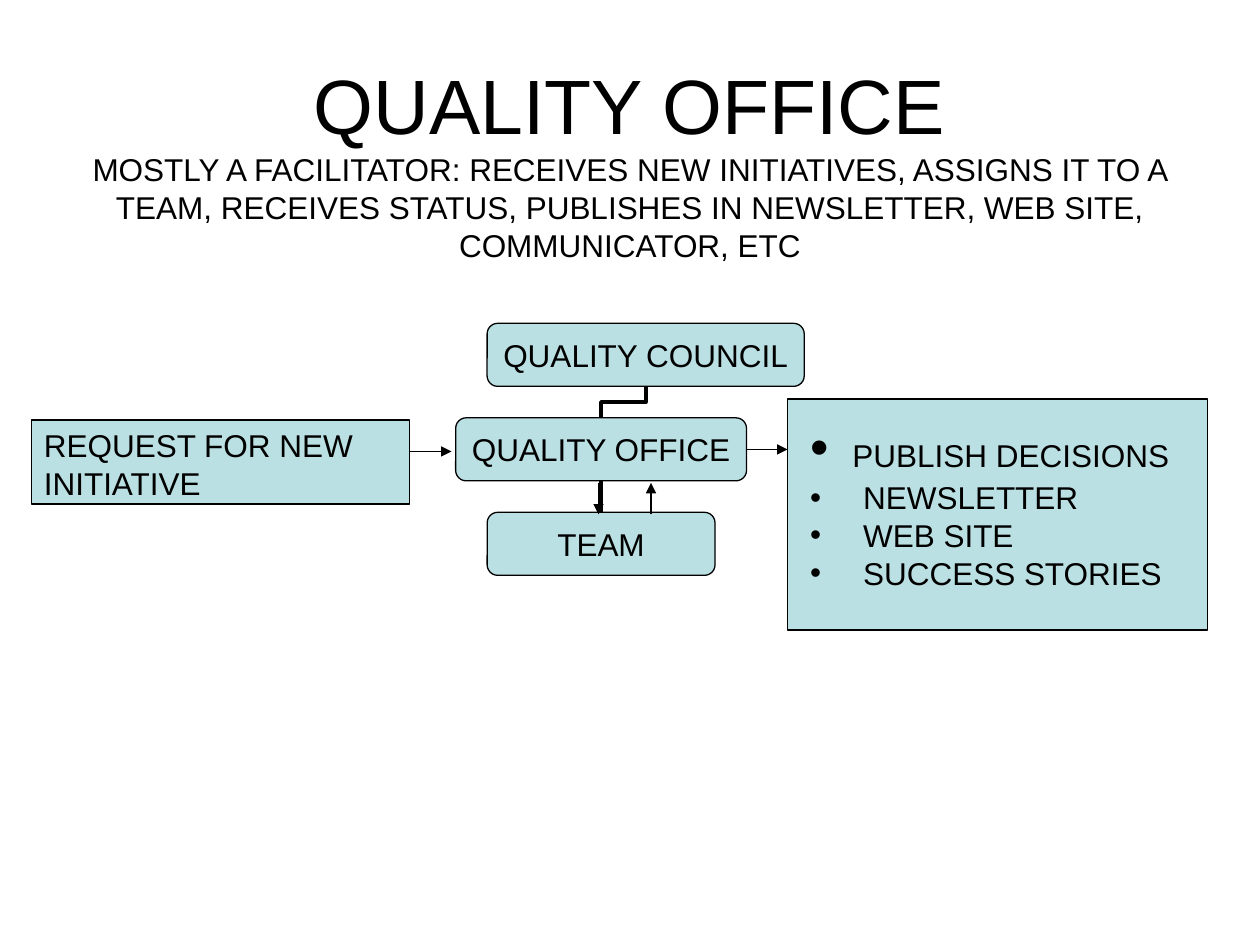
from typing import NamedTuple

from lxml.etree import SubElement
from pptx import Presentation
from pptx.dml.color import RGBColor
from pptx.enum.shapes import MSO_CONNECTOR, MSO_SHAPE
from pptx.enum.text import MSO_ANCHOR, PP_ALIGN
from pptx.oxml.ns import qn
from pptx.util import Emu, Inches, Pt

BLACK = RGBColor(0x00, 0x00, 0x00)
PALE_TEAL = RGBColor(0xBB, 0xE0, 0xE3)
FONT = "Arial"
BODY_SIZE = 18
LEVEL_TOP, LEVEL_STEP, LEVEL_HEIGHT = 30.8, 9, 6

presentation = Presentation()
presentation.slide_width, presentation.slide_height = Inches(10), Inches(7.5)
slide = presentation.slides.add_slide(presentation.slide_layouts[6])
CELL = presentation.slide_width / 120  # the slide is 120 columns by 90 rows


class Level(NamedTuple):
    text: str
    column: float
    columns: float


class Arrow(NamedTuple):
    start: tuple
    end: tuple


def cells(*counts: float) -> list:
    return [Emu(round(count * CELL)) for count in counts]


def style_run(run, size: float = BODY_SIZE) -> None:
    run.font.name = FONT
    run.font.size = Pt(size)
    run.font.color.rgb = BLACK


def add_box(kind, place: tuple, text: str, align=PP_ALIGN.LEFT, anchor=MSO_ANCHOR.TOP):
    box = slide.shapes.add_shape(kind, *cells(*place))
    box.shadow.inherit = False
    box.fill.solid()
    box.fill.fore_color.rgb = PALE_TEAL
    box.line.color.rgb = BLACK
    box.line.width = Pt(0.75)
    frame = box.text_frame
    frame.text = text
    frame.vertical_anchor = anchor
    for paragraph in frame.paragraphs:
        paragraph.alignment = align
        for run in paragraph.runs:
            style_run(run)
    return box


def add_line(kind, start: tuple, end: tuple, weight: float, arrowhead: bool = False):
    line = slide.shapes.add_connector(kind, *cells(*start, *end))
    line.line.color.rgb = BLACK
    line.line.width = Pt(weight)
    if arrowhead:
        SubElement(line.line._get_or_add_ln(), qn("a:tailEnd"), type="triangle")
    SubElement(line._element.spPr, qn("a:effectLst"))
    return line


def add_bullet(paragraph, margin: float) -> None:
    properties = paragraph._p.get_or_add_pPr()
    properties.set("marL", str(Inches(margin)))
    properties.set("indent", str(-Inches(margin)))
    color = SubElement(properties, qn("a:buClr"))
    SubElement(color, qn("a:srgbClr"), val=str(BLACK))
    SubElement(properties, qn("a:buFont"), typeface=FONT)
    SubElement(properties, qn("a:buChar"), char="•")


# Title with its description
heading = slide.shapes.add_textbox(*cells(6, 3.6, 108, 23.4)).text_frame
heading.word_wrap = True
heading.vertical_anchor = MSO_ANCHOR.MIDDLE
heading.text = (
    "QUALITY OFFICE\vMOSTLY A FACILITATOR: RECEIVES NEW INITIATIVES, ASSIGNS IT "
    "TO A TEAM, RECEIVES STATUS, PUBLISHES IN NEWSLETTER, WEB SITE, COMMUNICATOR, ETC"
)
heading.paragraphs[0].alignment = PP_ALIGN.CENTER
for run, size in zip(heading.paragraphs[0].runs, (44, BODY_SIZE)):
    style_run(run, size)

# Organisation chart: one box per level
levels = [
    Level("QUALITY COUNCIL", 46.4, 30.2),
    Level("QUALITY OFFICE", 43.4, 27.7),
    Level("TEAM", 46.4, 21.7),
]
council, office, team = [
    add_box(
        MSO_SHAPE.ROUNDED_RECTANGLE,
        (level.column, LEVEL_TOP + LEVEL_STEP * row, level.columns, LEVEL_HEIGHT),
        level.text, PP_ALIGN.CENTER, MSO_ANCHOR.MIDDLE,
    )
    for row, level in enumerate(levels)
]
for box in (council, office, team):
    box.text_frame.word_wrap = False

# Links between the levels
team_link = add_line(MSO_CONNECTOR.STRAIGHT, (0, 0), (1, 1), 2.25)
team_link.begin_connect(office, 2)
team_link.end_connect(team, 0)

council_link = add_line(MSO_CONNECTOR.ELBOW, (0, 0), (1, 1), 2.25)
council_link.begin_connect(office, 0)
council_link.end_connect(council, 2)
# A quarter turn makes the elbow leave both boxes vertically
office_x = office.left + office.width // 2
council_x = council.left + council.width // 2
council_bottom = council.top + council.height
rise, shift = office.top - council_bottom, council_x - office_x
council_link.left = Emu((office_x + council_x - rise) // 2)
council_link.top = Emu((office.top + council_bottom - shift) // 2)
council_link.width, council_link.height = Emu(rise), Emu(shift)
turn = council_link._element.spPr.find(qn("a:xfrm"))
for name, value in (("rot", "5400000"), ("flipH", "1"), ("flipV", "1")):
    turn.set(name, value)

# Incoming request
request = add_box(MSO_SHAPE.RECTANGLE, (3, 40, 36, 8), "REQUEST FOR NEW INITIATIVE")
request.text_frame.word_wrap = True

# Published results
publish = add_box(
    MSO_SHAPE.RECTANGLE, (75, 38, 40, 22),
    "PUBLISH DECISIONS\nNEWSLETTER\nWEB SITE\nSUCCESS STORIES",
)
publish.text_frame.margin_left = Inches(0.18)
publish.text_frame.margin_top = Inches(0.13)
lead, *outlets = publish.text_frame.paragraphs
add_bullet(lead, 0.22)
for outlet in outlets:
    add_bullet(outlet, 0.42)
# The large leading space sets the size of the first bullet
lead_text = lead.runs[0].text
lead.runs[0].text = " "
style_run(lead.runs[0], 30)
lead_run = lead.add_run()
lead_run.text = lead_text
style_run(lead_run)

# Flow arrows
arrows = [
    Arrow((39, 43), (43, 43)),
    Arrow((62, 49), (62, 46)),
    Arrow((57, 46), (57, 49)),
]
for arrow in arrows:
    add_line(MSO_CONNECTOR.STRAIGHT, arrow.start, arrow.end, 0.75, arrowhead=True)
publish_arrow = add_line(MSO_CONNECTOR.STRAIGHT, (71, 42.8), (75, 42.8), 0.75, arrowhead=True)
publish_arrow.begin_connect(office, 3)

presentation.save("out.pptx")
